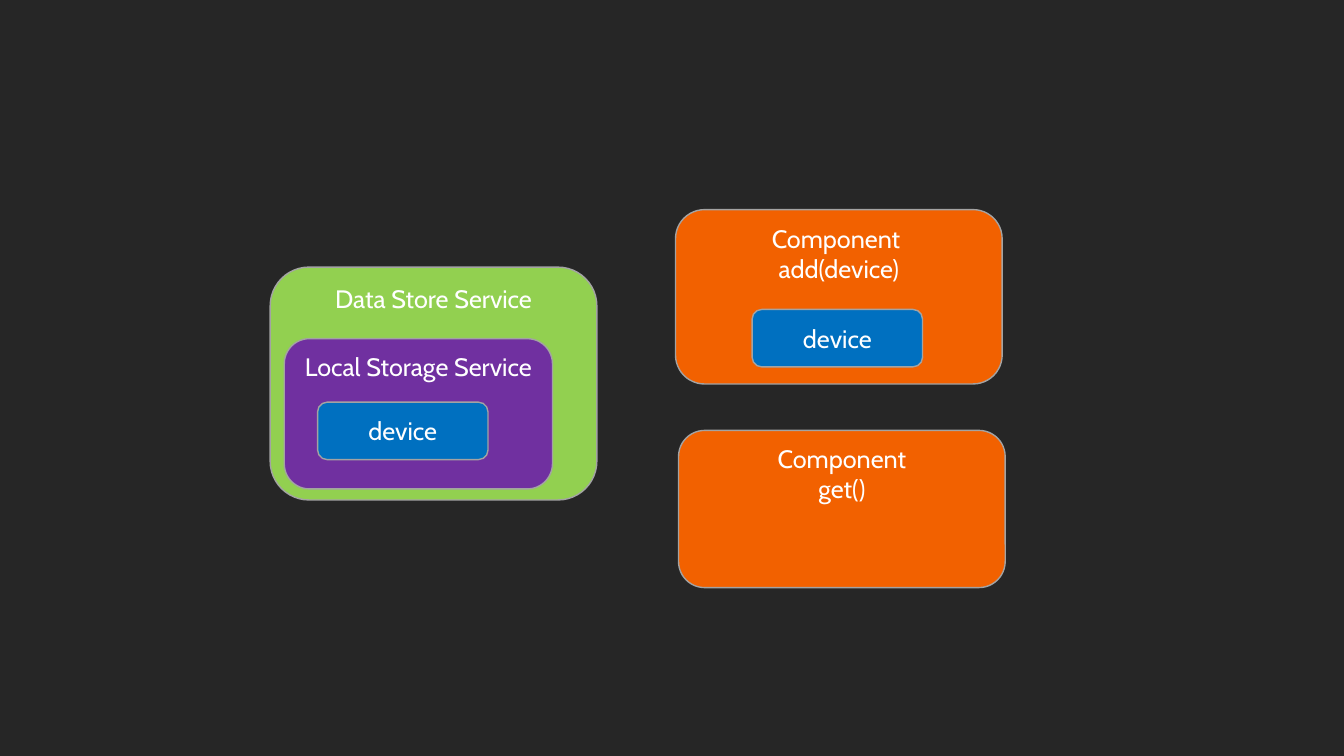
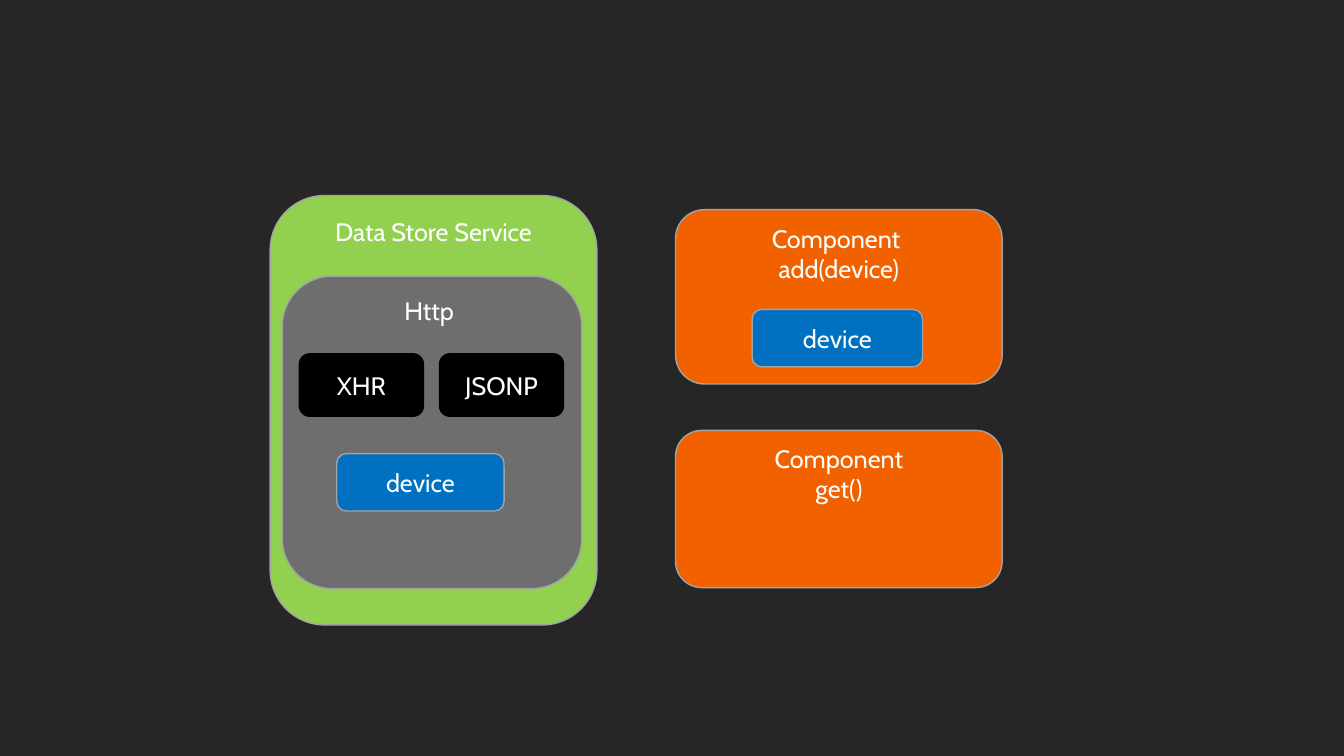
from typing import NamedTuple

from pptx import Presentation
from pptx.dml.color import RGBColor
from pptx.enum.shapes import MSO_SHAPE as Shape
from pptx.enum.text import MSO_ANCHOR as Anchor, PP_ALIGN as Align
from pptx.util import Pt

PX = 9144  # EMU per px, 100 px to the inch
BLANK_LAYOUT = 6
FONT = "Cabin"

DARK = RGBColor(0x26, 0x26, 0x26)
WHITE = RGBColor(0xFF, 0xFF, 0xFF)
BLACK = RGBColor(0x00, 0x00, 0x00)
OUTLINE = RGBColor(0xA3, 0xA3, 0xA3)
GREEN = RGBColor(0x92, 0xD0, 0x50)
PURPLE = RGBColor(0x70, 0x30, 0xA0)
ORANGE = RGBColor(0xF2, 0x61, 0x00)
BLUE = RGBColor(0x00, 0x70, 0xC0)
GRAY = RGBColor(0x6E, 0x6E, 0x6E)


class Box(NamedTuple):
    left: int
    top: int
    width: int
    height: int

    def inner(self, dx, dy, width, height):
        """Return a box placed relative to this one's top left corner."""
        return Box(self.left + dx, self.top + dy, width, height)


def add_page(deck):
    page = deck.slides.add_slide(deck.slide_layouts[BLANK_LAYOUT])
    page.background.fill.solid()
    page.background.fill.fore_color.rgb = DARK
    return page


def add_block(page, box, fill, lines, anchor=Anchor.TOP, outline=OUTLINE):
    """Draw a rounded block with one centred paragraph per line."""
    block = page.shapes.add_shape(Shape.ROUNDED_RECTANGLE, *(n * PX for n in box))
    block.shadow.inherit = False
    block.fill.solid()
    block.fill.fore_color.rgb = fill
    block.line.color.rgb = outline
    block.line.width = Pt(1)
    frame = block.text_frame
    frame.word_wrap = True
    frame.vertical_anchor = anchor
    frame.text = "\n".join(lines)
    for para in frame.paragraphs:
        para.alignment = Align.CENTER
        para.font.name = FONT
        para.font.size = Pt(18)
        para.font.color.rgb = WHITE


def add_device(page, box):
    add_block(page, box, BLUE, ["device"], Anchor.MIDDLE)


def add_components(page, add_box, get_box):
    """Draw the component that adds a device and the one that gets it."""
    add_block(page, add_box, ORANGE, ["Component ", "add(device)"])
    add_device(page, add_box.inner(76, 99, 169, 57))
    add_block(page, get_box, ORANGE, ["Component", "get()"])


def add_data_store(page, box):
    add_block(page, box, GREEN, ["Data Store Service"])


def add_local_storage(page, box):
    add_block(page, box, PURPLE, ["Local Storage Service"])
    add_device(page, box.inner(33, 63, 169, 57))


def add_http(page, box):
    add_block(page, box, GRAY, ["Http "])
    # Transports, side by side
    for column, name in enumerate(["XHR", "JSONP"]):
        transport = box.inner(17 + column * 139, 77, 123, 62)
        add_block(page, transport, BLACK, [name], Anchor.MIDDLE, BLACK)
    add_device(page, box.inner(54, 176, 166, 57))


def build_local_page(deck, add_box, get_box):
    page = add_page(deck)
    store = Box(268, 265, 324, 231)
    add_data_store(page, store)
    add_local_storage(page, store.inner(14, 71, 266, 149))
    add_components(page, add_box, get_box._replace(left=673))


def build_http_page(deck, add_box, get_box):
    page = add_page(deck)
    store = Box(268, 194, 324, 426)
    add_data_store(page, store)
    add_http(page, store.inner(12, 80, 297, 310))
    add_components(page, add_box, get_box)


def main():
    deck = Presentation()
    deck.slide_width = 1333 * PX
    deck.slide_height = 750 * PX
    add_box = Box(670, 208, 324, 173)
    get_box = add_box.inner(0, 219, 324, 156)
    build_local_page(deck, add_box, get_box)
    build_http_page(deck, add_box, get_box)
    deck.save("out.pptx")


if __name__ == "__main__":
    main()
